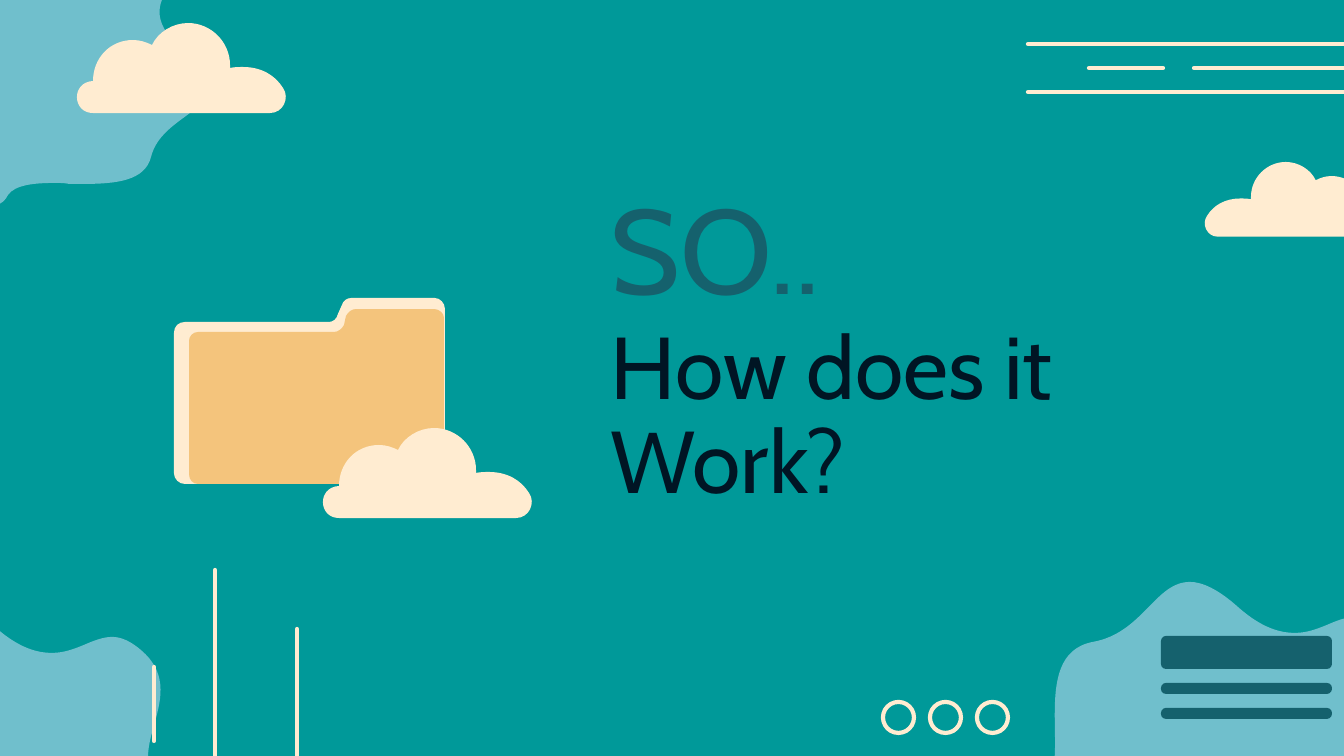
from lxml import etree
from pptx import Presentation
from pptx.dml.color import RGBColor
from pptx.enum.shapes import MSO_CONNECTOR, MSO_SHAPE
from pptx.enum.text import MSO_ANCHOR
from pptx.oxml.ns import qn
from pptx.util import Pt

PX = 914400 / 134.4  # EMU per px
WIDTH, HEIGHT = 1344, 756

TEAL = RGBColor(0x00, 0x99, 0x99)
SKY = RGBColor(0x70, 0xBF, 0xCC)
CREAM = RGBColor(0xFF, 0xEC, 0xD1)
SAND = RGBColor(0xF4, 0xC4, 0x7C)
DEEP_TEAL = RGBColor(0x15, 0x61, 0x6D)
NAVY = RGBColor(0x00, 0x15, 0x24)

FONT = "Cabin"
STROKE = Pt(2.25)
STRAIGHT = MSO_CONNECTOR.STRAIGHT
ROUNDED = MSO_SHAPE.ROUNDED_RECTANGLE
OVAL = MSO_SHAPE.OVAL
TOP, MIDDLE = MSO_ANCHOR.TOP, MSO_ANCHOR.MIDDLE

# Outlines in px: the start, then a pair per straight line
# and six numbers (two controls and the end) per cubic curve.
HILL = [
    (171, 0), (136, 0, 124, 51, 74, 60), (5, 73, 59, 192, 20, 211),
    (5, 218, 1, 230, 1, 243), (0, 267, 8, 289, 32, 289), (395, 289),
    (410, 289, 403, 282, 411, 270), (426, 247, 441, 210, 398, 190),
    (332, 159, 419, 97, 367, 50), (355, 39, 345, 35, 336, 35),
    (327, 35, 317, 39, 308, 43), (298, 47, 288, 51, 276, 51),
    (261, 51, 243, 46, 220, 26), (199, 7, 183, 0, 171, 0),
]
CORNER_BLOB = [
    (-8, -95), (5, -95, 19, -90, 28, -75), (38, -60, 50, -56, 62, -56),
    (71, -56, 82, -59, 93, -60), (103, -63, 114, -66, 125, -66),
    (137, -66, 151, -63, 161, -52), (207, -16, 120, -5, 184, 52),
    (249, 110, 163, 108, 151, 157), (145, 181, 116, 184, 83, 184),
    (79, 184, 74, 184, 69, 184), (65, 183, 59, 183, 55, 183),
    (34, 183, 15, 185, 8, 195), (3, 206, -9, 208, -23, 208),
    (-46, 208, -65, 195, -65, 179), (-66, -59),
    (-66, -70, -59, -79, -47, -85), (-36, -90, -23, -95, -8, -95),
]
CLOUD = [
    (117, 0), (102, 0, 87, 9, 81, 22), (75, 19, 69, 17, 62, 17),
    (39, 17, 22, 35, 22, 58), (0, 59, 1, 90, 22, 90), (199, 90),
    (212, 90, 219, 75, 212, 65), (204, 52, 190, 44, 172, 44),
    (168, 44, 163, 44, 159, 45), (159, 44, 159, 43, 159, 42),
    (159, 19, 140, 0, 117, 0),
]
FOLDER_BACK = [
    (177, 0), (173, 0, 169, 3, 168, 7), (164, 16),
    (163, 21, 159, 24, 155, 24), (11, 24), (5, 24, 0, 28, 0, 35),
    (0, 175), (0, 181, 5, 186, 11, 186), (261, 186),
    (266, 186, 271, 181, 271, 175), (271, 11), (271, 5, 266, 0, 261, 0),
]
FOLDER_FRONT = [
    (167, 0), (163, 0, 159, 3, 157, 7), (155, 16),
    (153, 20, 149, 23, 145, 23), (9, 23), (4, 23, 0, 27, 0, 32),
    (0, 165), (0, 171, 4, 175, 9, 175), (245, 175),
    (250, 175, 255, 170, 255, 164), (255, 9), (255, 4, 250, 0, 245, 0),
]


def emu(px):
    return round(px * PX)


class Painter:
    def __init__(self, slide):
        self.slide = slide
        self.shapes = slide.shapes

    def background(self, color):
        fill = self.slide.background.fill
        fill.solid()
        fill.fore_color.rgb = color

    def paint(self, shape, color):
        shape.shadow.inherit = False
        shape.fill.solid()
        shape.fill.fore_color.rgb = color
        shape.line.fill.background()

    def outline(self, outline, x, y, color, scale_x=1, scale_y=1):
        segments = [[(emu(px * scale_x), emu(py * scale_y))
                     for px, py in zip(segment[::2], segment[1::2])]
                    for segment in outline]
        ends = [segment[-1] for segment in segments]
        builder = self.shapes.build_freeform(*ends[0], scale=1.0)
        builder.add_line_segments(ends[1:], close=True)
        shape = builder.convert_to_shape(emu(x), emu(y))
        self.paint(shape, color)

        # Bend the straight segments that have control points
        left, top = min(px for px, _ in ends), min(py for _, py in ends)
        steps = list(shape._element.spPr.iter(qn("a:lnTo")))
        for step, points in zip(steps, segments[1:]):
            if len(points) == 3:
                curve = etree.Element(qn("a:cubicBezTo"))
                for px, py in points:
                    etree.SubElement(curve, qn("a:pt"), x=str(px - left), y=str(py - top))
                step.getparent().replace(step, curve)

    def bar(self, x, y, width, height, color, radius):
        bar = self.shapes.add_shape(ROUNDED, emu(x), emu(y), emu(width), emu(height))
        bar.adjustments[0] = min(radius / height, 0.5)
        self.paint(bar, color)

    def ring(self, x, y, size, color):
        ring = self.shapes.add_shape(OVAL, emu(x), emu(y), emu(size), emu(size))
        ring.shadow.inherit = False
        ring.fill.background()
        ring.line.color.rgb = color
        ring.line.width = STROKE

    def line(self, x1, y1, x2, y2, color):
        line = self.shapes.add_connector(STRAIGHT, emu(x1), emu(y1), emu(x2), emu(y2))
        line.line.color.rgb = color
        line.line.width = STROKE
        properties = line._element.spPr
        properties.find(qn("a:ln")).set("cap", "rnd")
        etree.SubElement(properties, qn("a:effectLst"))

    def text(self, words, x, y, width, height, size, color, anchor, spacing=1.0):
        frame = self.shapes.add_textbox(emu(x), emu(y), emu(width), emu(height)).text_frame
        frame.word_wrap = True
        frame.vertical_anchor = anchor
        frame.margin_left = frame.margin_right = emu(13)
        frame.margin_top = frame.margin_bottom = emu(13)
        paragraph = frame.paragraphs[0]
        paragraph.text = words
        paragraph.line_spacing = spacing
        paragraph.font.name = FONT
        paragraph.font.size = Pt(size)
        paragraph.font.color.rgb = color


def main():
    deck = Presentation()
    deck.slide_width, deck.slide_height = emu(WIDTH), emu(HEIGHT)
    painter = Painter(deck.slides.add_slide(deck.slide_layouts[6]))
    painter.background(TEAL)

    # Blobs in the corners
    painter.outline(HILL, 1019, 582, SKY)
    painter.outline(CORNER_BLOB, 0, 0, SKY)
    painter.outline(HILL, -224, 602, SKY)

    # Lines at the top right
    for y, start, end in [(92, 1028, WIDTH), (68, 1194, WIDTH),
                          (68, 1089, 1163), (44, 1028, WIDTH)]:
        painter.line(start, y, end, y, CREAM)

    # Panel at the bottom right
    for y, height in [(636, 33), (683, 11), (708, 11)]:
        painter.bar(1161, y, 171, height, DEEP_TEAL, radius=5)

    # Upright lines at the bottom left
    for x, bottom, top in [(215, 886, 570), (297, 780, 629), (154, 741, 667)]:
        painter.line(x, bottom, x, top, CREAM)

    # Row of rings
    for index in range(3):
        painter.ring(883 + 47 * index, 702, 31, CREAM)

    painter.outline(CLOUD, 71, 23, CREAM)

    # Heading
    painter.text("SO..", 598, 162, 534, 172, 64, DEEP_TEAL, TOP)
    painter.text("How does it Work?", 598, 312, 534, 212, 47, NAVY, MIDDLE, spacing=0.9)

    # Folder with its cloud, and the mirrored cloud at the right
    painter.outline(FOLDER_BACK, 174, 298, CREAM)
    painter.outline(FOLDER_FRONT, 189, 309, SAND)
    painter.outline(CLOUD, 317, 428, CREAM)
    painter.outline(CLOUD, 1383, 162, CREAM, scale_x=-0.83, scale_y=0.83)

    deck.save("out.pptx")


if __name__ == "__main__":
    main()
